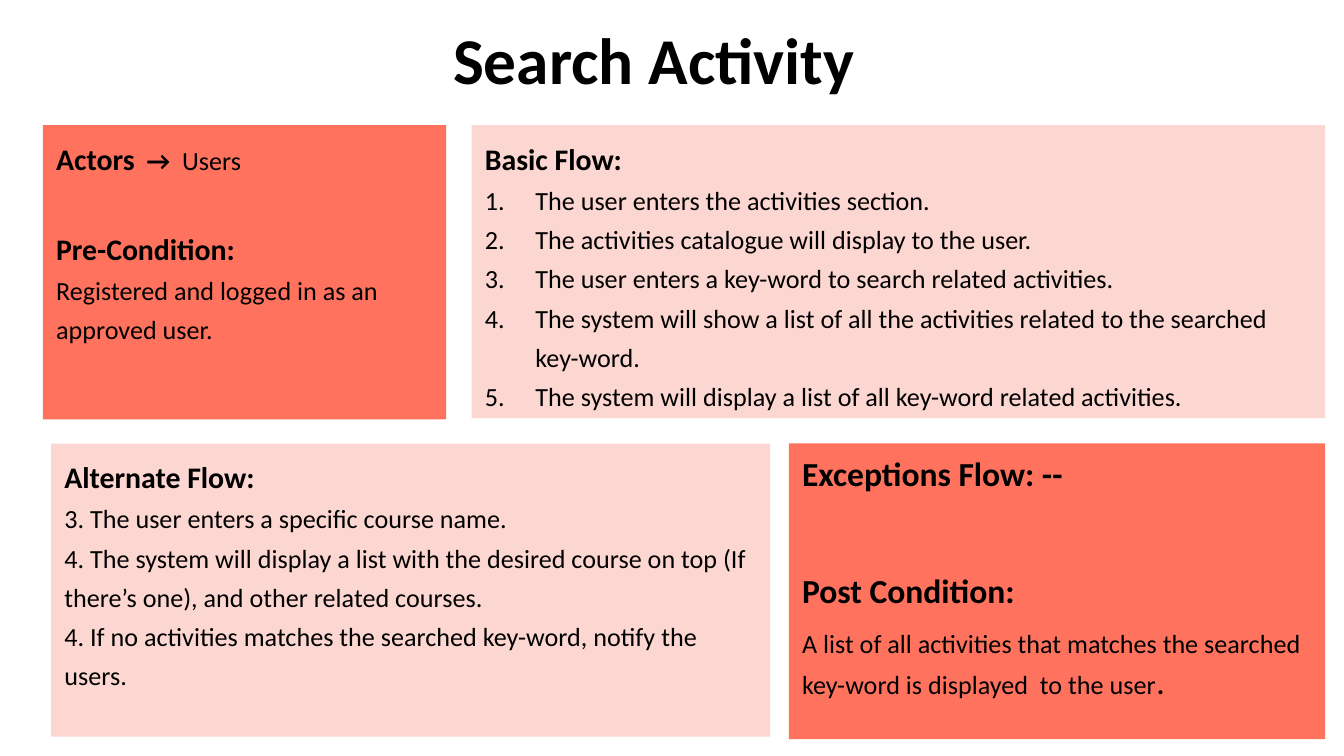
"""Build the Search Activity use-case slide."""
from lxml.etree import SubElement
from pptx import Presentation
from pptx.dml.color import RGBColor
from pptx.enum.shapes import MSO_SHAPE
from pptx.enum.text import MSO_ANCHOR, PP_ALIGN
from pptx.oxml.ns import qn
from pptx.util import Pt

BLACK = RGBColor(0x00, 0x00, 0x00)
CORAL = RGBColor(0xFF, 0x72, 0x5E)
BLUSH = RGBColor(0xFC, 0xD6, 0xD0)


def write(frame, text, size=14, bold=False, align=PP_ALIGN.LEFT, spacing=1.25,
          after=0, numbered=False, same_line=False):
    paragraph = frame.paragraphs[-1]
    if paragraph.runs and not same_line:
        paragraph = frame.add_paragraph()
    if not same_line:
        paragraph.alignment = align
        paragraph.line_spacing = spacing
        paragraph.space_before = Pt(0)
        paragraph.space_after = Pt(after)
    if numbered:
        properties = paragraph._p.get_or_add_pPr()
        properties.set("marL", str(Pt(27)))
        properties.set("indent", str(Pt(-27)))
        SubElement(properties, qn("a:buFont"), typeface="+mj-lt")
        SubElement(properties, qn("a:buAutoNum"), type="arabicPeriod")
    run = paragraph.add_run()
    run.text = text
    run.font.name = "Calibri"
    run.font.size = Pt(size)
    run.font.bold = bold
    run.font.color.rgb = BLACK


def add_panel(left, top, width, height, color):
    panel = slide.shapes.add_shape(
        MSO_SHAPE.RECTANGLE, Pt(left), Pt(top), Pt(width), Pt(height))
    panel.shadow.inherit = False
    panel.fill.solid()
    panel.fill.fore_color.rgb = color
    panel.line.fill.background()
    panel.text_frame.word_wrap = True
    panel.text_frame.vertical_anchor = MSO_ANCHOR.TOP
    return panel.text_frame


presentation = Presentation()
presentation.slide_width = Pt(720)
presentation.slide_height = Pt(405)
slide = presentation.slides.add_slide(presentation.slide_layouts[6])

title = slide.shapes.add_textbox(Pt(37.5), Pt(13.7), Pt(625.7), Pt(35.3)).text_frame
title.word_wrap = True
title.vertical_anchor = MSO_ANCHOR.MIDDLE
title.margin_top = title.margin_bottom = Pt(7.2)
write(title, "Search Activity", size=35, bold=True, align=PP_ALIGN.CENTER, spacing=1)

basic_flow = add_panel(252.7, 67, 457.2, 157, BLUSH)
write(basic_flow, "Basic Flow:", size=16, bold=True)
for step in (
    "The user enters the activities section.",
    "The activities catalogue will display to the user.",
    "The user enters a key-word to search related activities.",
    "The system will show a list of all the activities related to the searched key-word.",
    "The system will display a list of all key-word related activities.",
):
    write(basic_flow, step, numbered=True)

actors = add_panel(23, 67, 216, 157.7, CORAL)
write(actors, "Actors", size=16, bold=True, after=24.4)
write(actors, "  → ", bold=True, same_line=True)
write(actors, " Users", same_line=True)
write(actors, "Pre-Condition:", size=16, bold=True)
write(actors, "Registered and logged in as an approved user.")

exceptions = add_panel(422.6, 237.6, 287.3, 158.4, CORAL)
write(exceptions, "Exceptions Flow: --", size=18, bold=True, spacing=1.07, after=39.5)
write(exceptions, "Post Condition:", size=18, bold=True, spacing=1.07, after=8)
write(exceptions,
      "A list of all activities that matches the searched key-word is displayed  to the user",
      spacing=1.07, after=8)
write(exceptions, ".", size=18, same_line=True)

alternate_flow = add_panel(27.4, 237.6, 385.2, 157, BLUSH)
write(alternate_flow, "Alternate Flow:", size=16, bold=True)
for step in (
    "3. The user enters a specific course name.",
    "4. The system will display a list with the desired course on top "
    "(If there’s one), and other related courses.",
    "4. If no activities matches the searched key-word, notify the users.",
):
    write(alternate_flow, step)

presentation.save("out.pptx")
